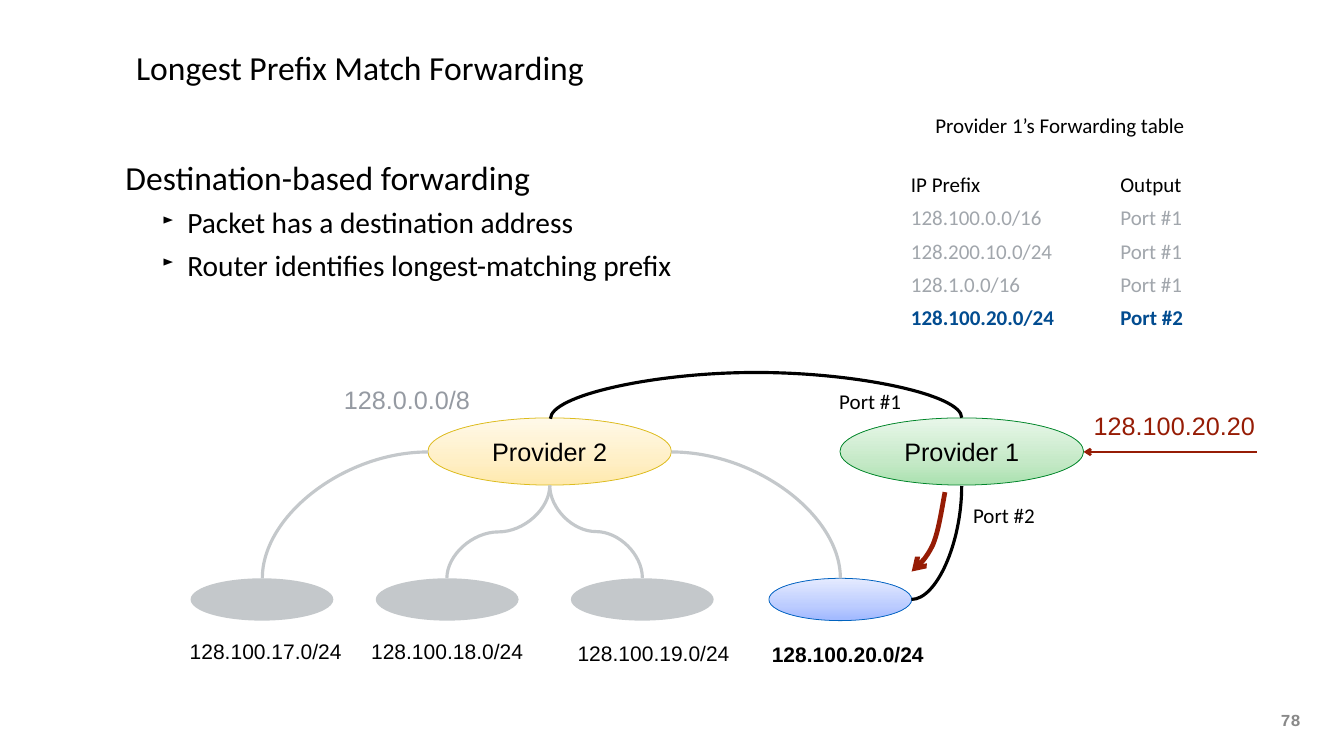
from copy import deepcopy

from pptx import Presentation
from pptx.dml.color import RGBColor
from pptx.enum.shapes import MSO_CONNECTOR, MSO_SHAPE
from pptx.enum.text import MSO_ANCHOR, MSO_AUTO_SIZE, PP_ALIGN
from pptx.oxml.ns import qn
from pptx.util import Pt
from lxml import etree

STRAIGHT, CURVE = MSO_CONNECTOR.STRAIGHT, MSO_CONNECTOR.CURVE
ELLIPSE = MSO_SHAPE.OVAL
TOP, MIDDLE = MSO_ANCHOR.TOP, MSO_ANCHOR.MIDDLE
LEFT, CENTER = PP_ALIGN.LEFT, PP_ALIGN.CENTER
NO_AUTOFIT = MSO_AUTO_SIZE.NONE

BLACK = RGBColor(0x00, 0x00, 0x00)
RED = RGBColor(0x96, 0x1C, 0x05)
BLUE = RGBColor(0x02, 0x4C, 0x90)
SILVER = RGBColor(0xC4, 0xC8, 0xCB)
PREFIX_GRAY = RGBColor(0x95, 0x9A, 0xA2)
ROW_GRAY = RGBColor(0xA1, 0xA6, 0xAC)
NUMBER_GRAY = RGBColor(0x89, 0x89, 0x89)
YELLOW_LINE = RGBColor(0xDC, 0xBC, 0x1E)
YELLOW_STOPS = (RGBColor(0xFF, 0xE9, 0xAD), RGBColor(0xFF, 0xEF, 0xC5), RGBColor(0xFF, 0xF9, 0xE9))
GREEN_LINE = RGBColor(0x00, 0x85, 0x2A)
GREEN_STOPS = (RGBColor(0xAA, 0xE1, 0xAF), RGBColor(0xC5, 0xE9, 0xC7), RGBColor(0xE8, 0xF7, 0xE9))
BLUE_LINE = RGBColor(0x00, 0x63, 0xBF)
BLUE_STOPS = (RGBColor(0xA0, 0xB8, 0xFF), RGBColor(0xBC, 0xCC, 0xFF), RGBColor(0xE5, 0xEB, 0xFF))


def points(*values):
    return [Pt(value) for value in values]


def add_run(paragraph, text, size, color=BLACK, font="Calibri", bold=False):
    run = paragraph.add_run()
    run.text = text
    run.font.size = Pt(size)
    run.font.name = font
    run.font.bold = bold
    run.font.color.rgb = color


def set_frame(frame, insets=(7.2, 3.6), anchor=TOP, wrap=True):
    frame.auto_size = NO_AUTOFIT
    frame.word_wrap = wrap
    frame.vertical_anchor = anchor
    frame.margin_left = frame.margin_right = Pt(insets[0])
    frame.margin_top = frame.margin_bottom = Pt(insets[1])


def add_label(slide, box, text, size, align=LEFT, insets=(7.2, 3.6), anchor=TOP, wrap=False, **style):
    frame = slide.shapes.add_textbox(*points(*box)).text_frame
    set_frame(frame, insets, anchor, wrap)
    paragraph = frame.paragraphs[0]
    paragraph.alignment = align
    add_run(paragraph, text, size, **style)


def add_title(slide, box):
    title = slide.shapes.title
    title.left, title.top, title.width, title.height = points(*box)
    set_frame(title.text_frame, (4.3, 4.3), MIDDLE)
    paragraph = title.text_frame.paragraphs[0]
    paragraph.alignment = LEFT
    add_run(paragraph, "Longest Prefix Match Forwarding", 32)


def add_body(slide, box):
    frame = slide.shapes.add_textbox(*points(*box)).text_frame
    set_frame(frame, (0, 0))
    heading = frame.paragraphs[0]
    heading._p.get_or_add_pPr().set("marL", str(Pt(25.2)))
    add_run(heading, "Destination-based forwarding", 32)
    for text in ("Packet has a destination address", "Router identifies longest-matching prefix"):
        paragraph = frame.add_paragraph()
        paragraph.level = 1
        paragraph.space_before = Pt(7)
        properties = paragraph._p.get_or_add_pPr()
        properties.set("marL", str(Pt(84.2)))
        properties.set("indent", str(Pt(-23.8)))
        etree.SubElement(properties, qn("a:buSzPct")).set("val", "50000")
        etree.SubElement(properties, qn("a:buChar")).set("char", "►")
        add_run(paragraph, text, 28)


def add_forwarding_table(slide, box):
    left, top, width, height = box
    add_label(slide, (left - 18, top - 57, 334, 32), "Provider 1’s Forwarding table", 20, CENTER, wrap=True)
    rows = [
        ("IP Prefix", "Output", BLACK),
        ("128.100.0.0/16", "Port #1", ROW_GRAY),
        ("128.200.10.0/24", "Port #1", ROW_GRAY),
        ("128.1.0.0/16", "Port #1", ROW_GRAY),
        ("128.100.20.0/24", "Port #2", BLUE),
    ]
    table = slide.shapes.add_table(len(rows), 2, *points(*box)).table
    table.first_row = table.horz_banding = False
    table.columns[0].width = Pt(199.4)
    table.columns[1].width = Pt(width - 199.4)
    for row, (prefix, port, color) in enumerate(rows):
        table.rows[row].height = Pt(height / len(rows))
        for column, text in enumerate((prefix, port)):
            cell = table.cell(row, column)
            cell.fill.background()
            add_run(cell.text_frame.paragraphs[0], text, 20, color, bold=color == BLUE)


def add_ellipse(slide, box, stops=None, line_color=None, text=None):
    shape = slide.shapes.add_shape(ELLIPSE, *points(*box))
    shape.shadow.inherit = False
    if stops:
        shape.fill.gradient()
        shape.fill.gradient_angle = 90
        first = shape._element.spPr.find(".//" + qn("a:gs"))
        first.addnext(deepcopy(first))
        for stop, position, color in zip(shape.fill.gradient_stops, (0, 0.35, 1), stops):
            stop.position = position
            stop.color.rgb = color
        shape.line.color.rgb = line_color
        shape.line.width = Pt(0.75)
    else:
        shape.fill.solid()
        shape.fill.fore_color.rgb = SILVER
        shape.line.fill.background()
    if text:
        set_frame(shape.text_frame, anchor=MIDDLE, wrap=False)
        paragraph = shape.text_frame.paragraphs[0]
        paragraph.alignment = CENTER
        add_run(paragraph, text, 24, font="Arial")


def style_line(shape, color, width, arrow_end=None):
    shape.line.color.rgb = color
    shape.line.width = Pt(width)
    properties = shape._element.spPr
    if arrow_end:
        etree.SubElement(properties.find(qn("a:ln")), qn(arrow_end)).set("type", "arrow")
    if properties.find(qn("a:effectLst")) is None:
        etree.SubElement(properties, qn("a:effectLst"))


def add_curve(slide, box, preset, rotation=0, flips="", color=SILVER, adjust=None):
    left, top, width, height = box
    curve = slide.shapes.add_connector(CURVE, *points(left, top, left + width, top + height))
    properties = curve._element.spPr
    geometry = properties.find(qn("a:prstGeom"))
    geometry.set("prst", preset)
    if adjust:
        guide = etree.SubElement(geometry.find(qn("a:avLst")), qn("a:gd"))
        guide.set("name", "adj1")
        guide.set("fmla", f"val {adjust}")
    transform = properties.find(qn("a:xfrm"))
    transform.set("rot", str(rotation * 60000))
    for flip in flips:
        transform.set("flip" + flip, "1")
    style_line(curve, color, 3)


def add_route_arrow(slide, box):
    left, top, width, height = box
    segments = (
        ((1, 0), (0.89, 0.25), (0.8, 0.5), (0.64, 0.66)),
        ((0.64, 0.66), (0.45, 0.83), (0.23, 0.92), (0, 1)),
    )
    steps = 12
    vertices = []
    for segment in segments:
        for step in range(1, steps + 1):
            t = step / steps
            weights = ((1 - t) ** 3, 3 * t * (1 - t) ** 2, 3 * t * t * (1 - t), t ** 3)
            x, y = (sum(w * point[axis] for w, point in zip(weights, segment)) for axis in (0, 1))
            vertices.append(points(left + width * x, top + height * y))
    builder = slide.shapes.build_freeform(*points(left + width, top))
    builder.add_line_segments(vertices, close=False)
    arrow = builder.convert_to_shape()
    arrow.shadow.inherit = False
    arrow.fill.background()
    style_line(arrow, RED, 4.5, "a:tailEnd")


def add_network(slide, box):
    left, top, width, height = box
    provider_top, site_top = top + 42, top + 194.8
    sites = [
        (0, 172.8, 604.8, "128.100.17.0/24"),
        (176.4, 345.6, 604.8, "128.100.18.0/24"),
        (362.2, 542.2, 606.2, "128.100.19.0/24"),
        (550.8, 727.2, 607, "128.100.20.0/24"),
    ]
    for offset, label_left, label_top, prefix in sites:
        active = prefix == "128.100.20.0/24"
        stops, line_color = (BLUE_STOPS, BLUE_LINE) if active else (None, None)
        add_ellipse(slide, (left + offset, site_top, 136, 40.3), stops, line_color)
        add_label(slide, (label_left, label_top, 160.6, 31.7), prefix, 20, CENTER, font="Arial", bold=active)
    add_ellipse(slide, (left + 226, provider_top, 232, 64), YELLOW_STOPS, YELLOW_LINE, "Provider 2")
    add_ellipse(slide, (left + 618.5, provider_top, 232, 64), GREEN_STOPS, GREEN_LINE, "Provider 1")

    add_curve(slide, (249.8, 430.4, 157.7, 120.4), "curvedConnector2", 180, "V")
    add_curve(slide, (430.5, 457.6, 88.2, 98), "curvedConnector3", 90)
    add_curve(slide, (523.6, 462.2, 88.2, 88.2), "curvedConnector3", 270, "H")
    add_curve(slide, (639.4, 430.4, 161, 120.4), "curvedConnector2")
    add_curve(slide, (838, 493, 108, 47.8), "curvedConnector2", 90, color=BLACK)
    add_curve(slide, (719.6, 202.5, 1, 391.7), "curvedConnector3", 90, "HV", BLACK, 4444900)

    add_label(slide, (320.4, 362.9, 136, 36), "128.0.0.0/8", 24, color=PREFIX_GRAY, font="Arial")
    for port_box, text in (((794.9, 365.8, 67.7, 32.4), "Port #1"), ((922.3, 474.5, 67.7, 32.4), "Port #2")):
        add_label(slide, port_box, text, 20, CENTER, (4.3, 4.3), MIDDLE)
    add_label(slide, (1034.6, 387.4, 240.5, 36), "128.100.20.20", 24, wrap=True, color=RED, font="Arial")
    packet = slide.shapes.add_connector(STRAIGHT, *points(1032, 430.4, left + width, 430.4))
    style_line(packet, RED, 2.25, "a:headEnd")
    add_route_arrow(slide, (868.3, 468.7, 31.7, 75.6))


def main():
    presentation = Presentation()
    presentation.slide_width, presentation.slide_height = points(1280, 720)
    slide = presentation.slides.add_slide(presentation.slide_layouts[5])
    add_title(slide, (125.3, 0, 1030.3, 128.2))
    add_body(slide, (94.3, 149, 651, 140))
    add_forwarding_table(slide, (860.4, 160.6, 349.2, 156.2))
    add_network(slide, (181.5, 356, 1015.9, 283))
    add_label(slide, (1219.7, 676, 33, 36), "78", 16, insets=(0, 0), color=NUMBER_GRAY, font="Courier New", bold=True)
    presentation.save("out.pptx")


if __name__ == "__main__":
    main()
